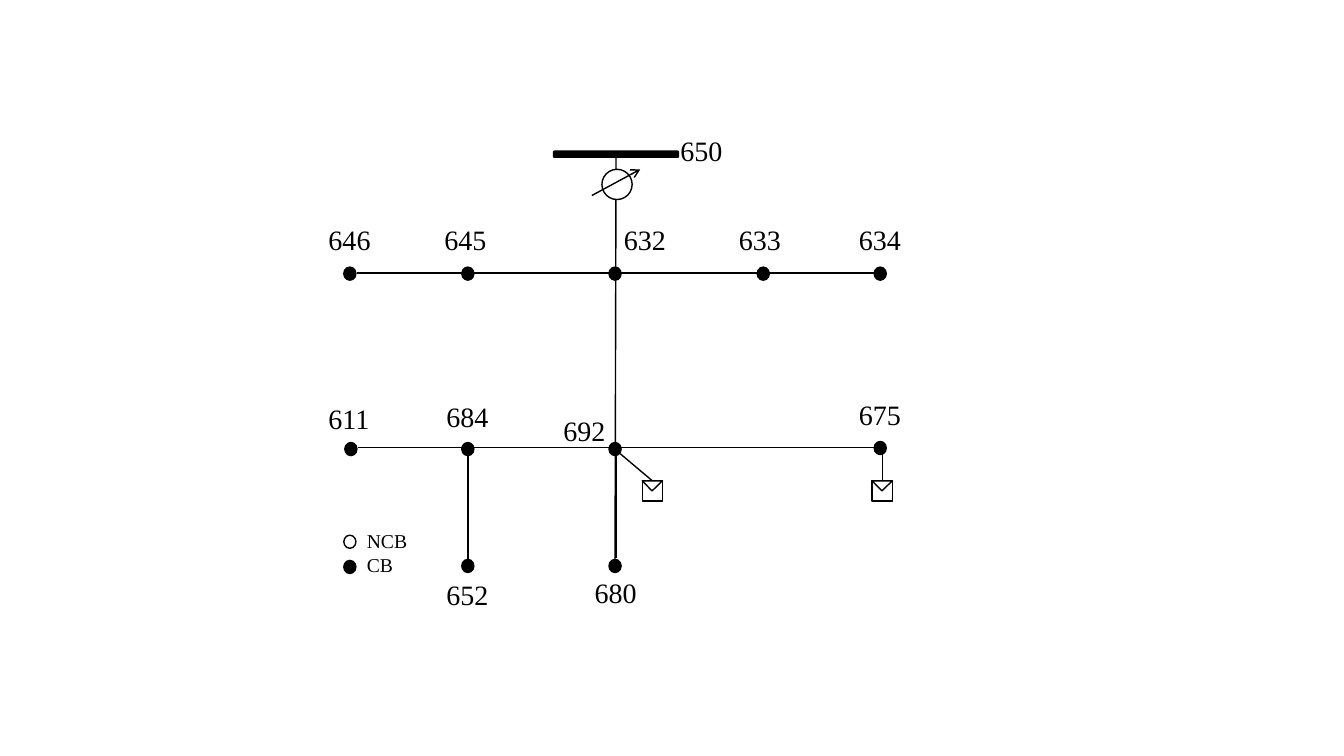
from lxml.etree import SubElement
from pptx import Presentation
from pptx.dml.color import RGBColor
from pptx.enum.shapes import MSO_CONNECTOR, MSO_SHAPE
from pptx.enum.text import MSO_AUTO_SIZE
from pptx.oxml.ns import qn
from pptx.util import Inches, Pt

BLACK = RGBColor(0, 0, 0)
WHITE = RGBColor(255, 255, 255)


class Sketch:
    """Draws the parts of a feeder diagram on one slide."""

    def __init__(self, slide):
        self.shapes = slide.shapes
        self.font = {"name": "Times New Roman"}

    def shape(self, kind, left, top, width, height, fill=WHITE):
        item = self.shapes.add_shape(kind, *map(Inches, (left, top, width, height)))
        item.shadow.inherit = False
        item.fill.solid()
        item.fill.fore_color.rgb = fill
        item.line.color.rgb = BLACK
        item.line.width = Pt(1)
        return item

    def dot(self, left, top, fill=BLACK):
        self.shape(MSO_SHAPE.OVAL, left, top, 0.12, 0.13, fill)

    def line(self, start, end, arrow=False):
        item = self.shapes.add_connector(
            MSO_CONNECTOR.STRAIGHT, *map(Inches, (*start, *end)))
        item.line.color.rgb = BLACK
        item.line.width = Pt(1)
        props = item.line._get_or_add_ln()
        if arrow:
            SubElement(props, qn("a:tailEnd"), type="arrow")
        SubElement(item._element.spPr, qn("a:effectLst"))

    def text(self, rows, left, top, width=0.74, height=0.44, size=20):
        box = self.shapes.add_textbox(*map(Inches, (left, top, width, height)))
        frame = box.text_frame
        frame.word_wrap = True
        frame.auto_size = MSO_AUTO_SIZE.SHAPE_TO_FIT_TEXT
        frame.text = "\n".join(rows)
        for para in frame.paragraphs:
            para.font.color.rgb = BLACK
            for key, value in {**self.font, "size": Pt(size)}.items():
                setattr(para.font, key, value)

    def load(self, left, top):
        self.shape(MSO_SHAPE.RECTANGLE, left, top, 0.2, 0.2)
        flap = self.shape(MSO_SHAPE.ISOSCELES_TRIANGLE, left, top, 0.2, 0.1)
        flap.rotation = 180
        flap.adjustments[0] = 0.516


def main():
    deck = Presentation()
    deck.slide_width, deck.slide_height = Inches(13.33), Inches(7.5)
    sketch = Sketch(deck.slides.add_slide(deck.slide_layouts[6]))

    # Loads and their leads
    sketch.line((8.75, 4.47), (8.75, 4.87))
    sketch.line((6.47, 4.77), (6.15, 4.5))
    for left in (8.65, 6.37):
        sketch.load(left, 4.77)

    # Buses: name, dot left, dot top, label left, label top
    buses = [
        ("646", 3.41, 2.65, 3.16, 2.16),
        ("645", 4.58, 2.65, 4.31, 2.16),
        ("632", 6.04, 2.65, 6.09, 2.16),
        ("633", 7.51, 2.65, 7.23, 2.16),
        ("634", 8.67, 2.65, 8.42, 2.16),
        ("611", 3.42, 4.39, 3.16, 3.93),
        ("684", 4.58, 4.39, 4.33, 3.91),
        ("692", 6.04, 4.39, 5.49, 4.05),
        ("675", 8.67, 4.38, 8.42, 3.89),
        ("652", 4.58, 5.55, 4.33, 5.68),
        ("680", 6.04, 5.55, 5.8, 5.66),
    ]
    for name, left, top, *label in buses:
        sketch.dot(left, top)
        sketch.text([name], *label)

    # Feeder lines
    for start, end in [
        ((3.54, 2.71), (8.67, 2.71)),
        ((3.55, 4.44), (8.68, 4.44)),
        ((6.11, 1.56), (6.1, 5.55)),
        ((4.64, 4.52), (4.64, 5.55)),
        ((6.11, 4.5), (6.11, 5.54)),
    ]:
        sketch.line(start, end)

    # Legend
    sketch.text(["NCB", "CB"], 3.54, 5.2, 0.63, 0.57, size=14)
    sketch.dot(3.41, 5.31, WHITE)
    sketch.dot(3.41, 5.56)

    # Source bus and regulator
    sketch.text(["650"], 6.65, 1.28)
    sketch.shape(MSO_SHAPE.OVAL, 5.97, 1.68, 0.3, 0.3)
    sketch.line((5.87, 1.94), (6.35, 1.68), arrow=True)
    sketch.shape(MSO_SHAPE.ROUNDED_RECTANGLE, 5.49, 1.5, 1.24, 0.06, BLACK)

    deck.save("out.pptx")


if __name__ == "__main__":
    main()
